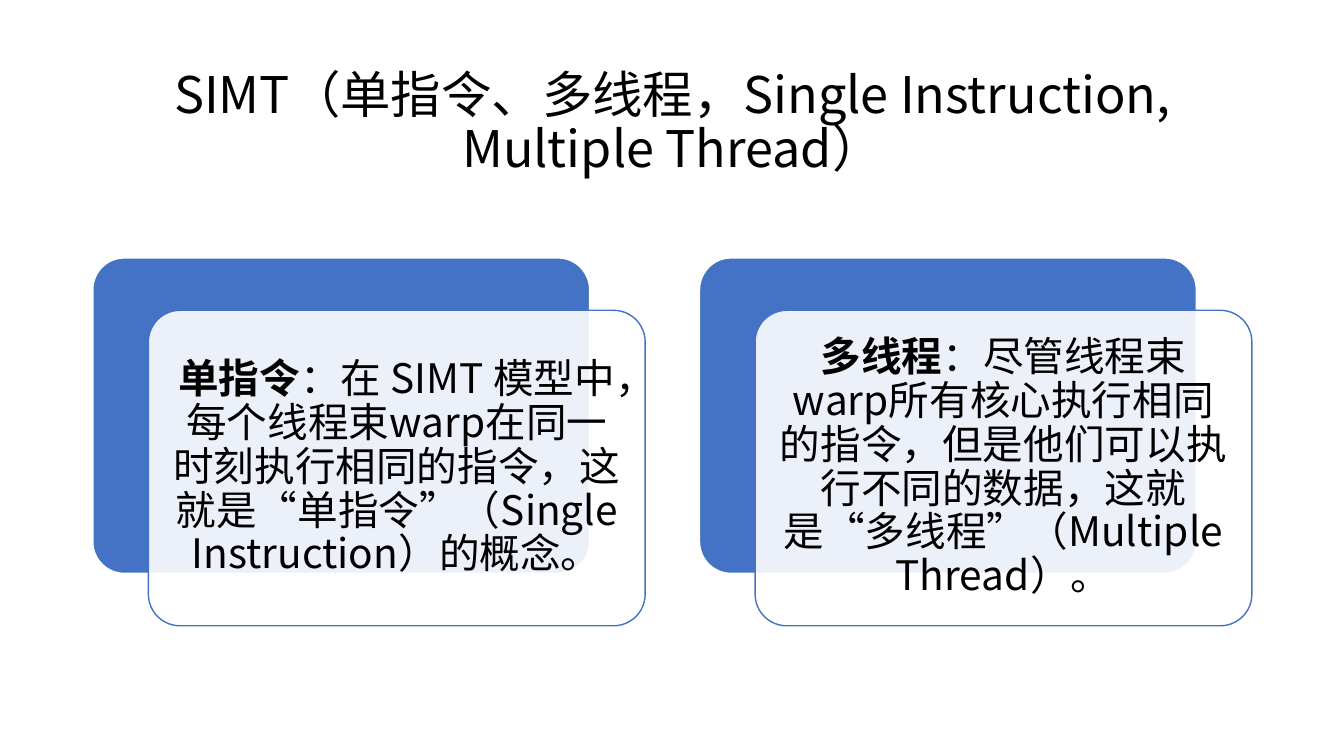
from dataclasses import dataclass

from lxml.etree import SubElement as Sub
from pptx import Presentation
from pptx.dml.color import RGBColor as Rgb
from pptx.enum.shapes import MSO_SHAPE as Kind
from pptx.enum.text import MSO_ANCHOR as Anchor, MSO_AUTO_SIZE as Fit, PP_ALIGN as Align
from pptx.oxml.ns import qn
from pptx.util import Cm, Pt

FONT = "Noto Sans CJK SC"
HUES = {"text": "000000", "blue": "4472C4", "white": "FFFFFF"}

# Card layout in centimetres
LEFT, TOP, WIDE, HIGH = 2.34, 6.5, 12.52, 7.95
PITCH = 15.29
STEP_X, STEP_Y = 1.4, 1.32
INSET, PAD = 0.23, 0.3


@dataclass
class Card:
    term: str
    note: str


CARDS = [
    Card("单指令", "：在 SIMT 模型中，每个线程束warp在同一时刻执行相同的指令，"
         "这就是“单指令”（Single Instruction）的概念。"),
    Card("多线程", "：尽管线程束warp所有核心执行相同的指令，但是他们可以执行不同的数据，"
         "这就是“多线程”（Multiple Thread）。"),
]


def style(para, size: float, after: float) -> None:
    """Format a paragraph, with one typeface for Latin and Chinese."""
    para.alignment = Align.CENTER
    para.line_spacing = 0.9
    para.space_before = Pt(0)
    para.space_after = Pt(after)
    font = para.font
    font.size = Pt(size)
    font.color.rgb = Rgb.from_string(HUES["text"])
    font.name = FONT
    latin = para._p.pPr.find(qn("a:defRPr")).find(qn("a:latin"))
    east = latin.makeelement(qn("a:ea"), {"typeface": FONT})
    latin.addnext(east)


def panel(group, x: float, y: float, fill: str, line: str, alpha: int = 100) -> None:
    """Draw one rounded panel; alpha is its opacity in percent."""
    box = group.shapes.add_shape(Kind.ROUNDED_RECTANGLE, Cm(x), Cm(y), Cm(WIDE), Cm(HIGH))
    box.adjustments[0] = 0.1
    box.shadow.inherit = False
    box.fill.solid()
    box.fill.fore_color.rgb = Rgb.from_string(HUES[fill])
    box.line.color.rgb = Rgb.from_string(HUES[line])
    box.line.width = Pt(1)
    if alpha < 100:
        hue = box._element.spPr.find(qn("a:solidFill")).find(qn("a:srgbClr"))
        Sub(hue, qn("a:alpha"), val=str(alpha * 1000))


def draw(group, card: Card, x: float) -> None:
    """Draw a back panel, a front panel and the card's text."""
    front_x, front_y = x + STEP_X, TOP + STEP_Y
    panel(group, x, TOP, "blue", "white")
    panel(group, front_x, front_y, "white", "blue", 90)
    box = group.shapes.add_textbox(Cm(front_x + INSET), Cm(front_y + INSET),
                                   Cm(WIDE - 2 * INSET), Cm(HIGH - 2 * INSET))
    frame = box.text_frame
    frame.word_wrap = True
    frame.vertical_anchor = Anchor.MIDDLE
    frame.margin_left = frame.margin_right = Cm(PAD)
    frame.margin_top = frame.margin_bottom = Cm(PAD)
    para = frame.paragraphs[0]
    style(para, 29, 10)
    term = para.add_run()
    term.text = card.term
    term.font.bold = True
    para.add_run().text = card.note


def main() -> None:
    deck = Presentation()
    deck.slide_width, deck.slide_height = Cm(33.87), Cm(19.05)
    slide = deck.slides.add_slide(deck.slide_layouts[5])

    # Title
    title = slide.shapes.title
    title.left, title.top, title.width, title.height = Cm(2.34), Cm(1.55), Cm(29.21), Cm(3.15)
    frame = title.text_frame
    frame.text = "SIMT（单指令、多线程，Single Instruction, Multiple Thread）"
    frame.vertical_anchor = Anchor.MIDDLE
    frame.auto_size = Fit.NONE
    style(frame.paragraphs[0], 36, 6)

    # Cards
    group = slide.shapes.add_group_shape()
    for i, card in enumerate(CARDS):
        draw(group, card, LEFT + i * PITCH)

    deck.save("out.pptx")


if __name__ == "__main__":
    main()
